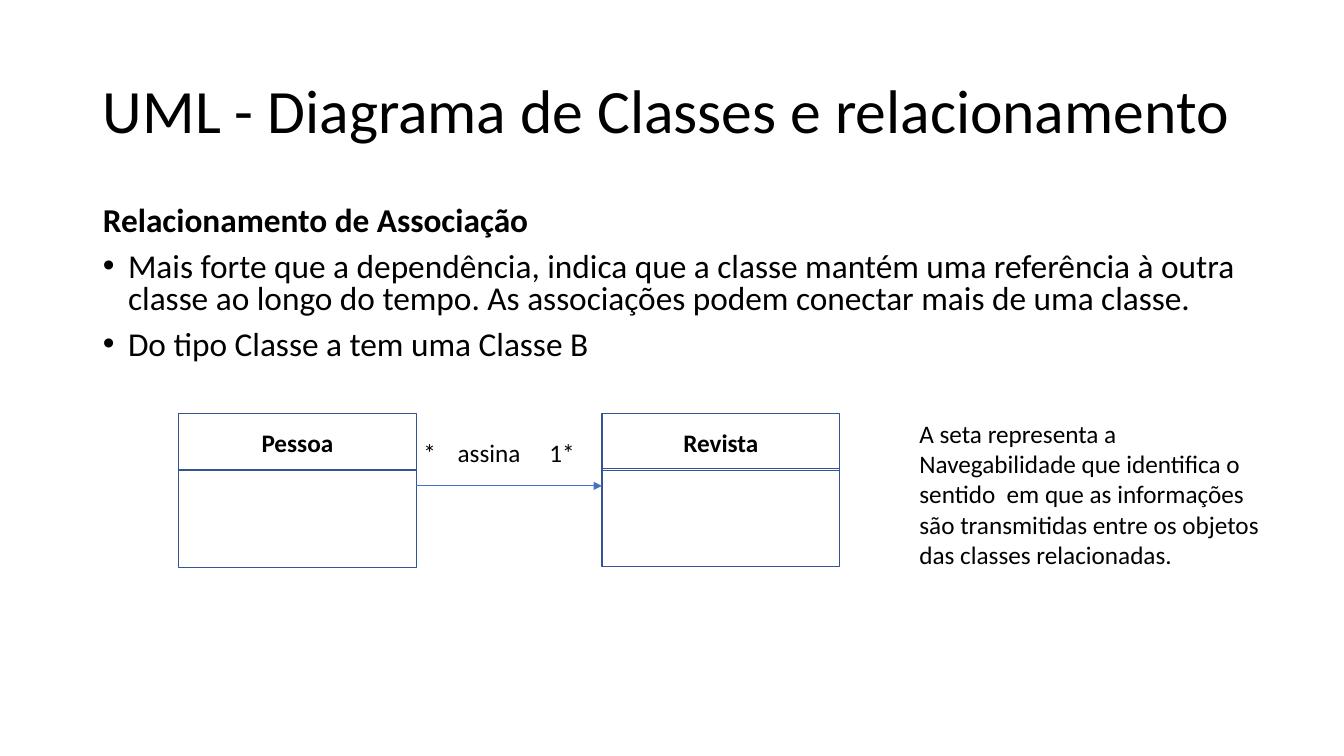
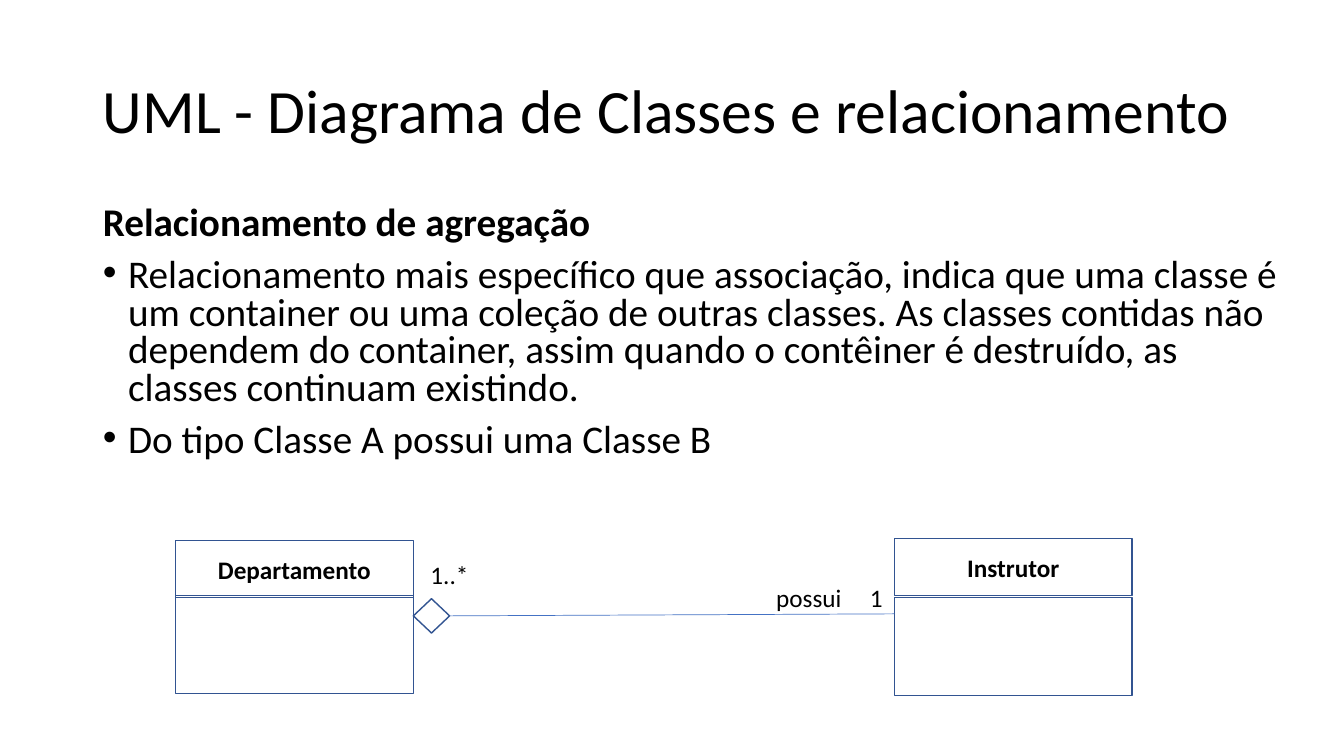
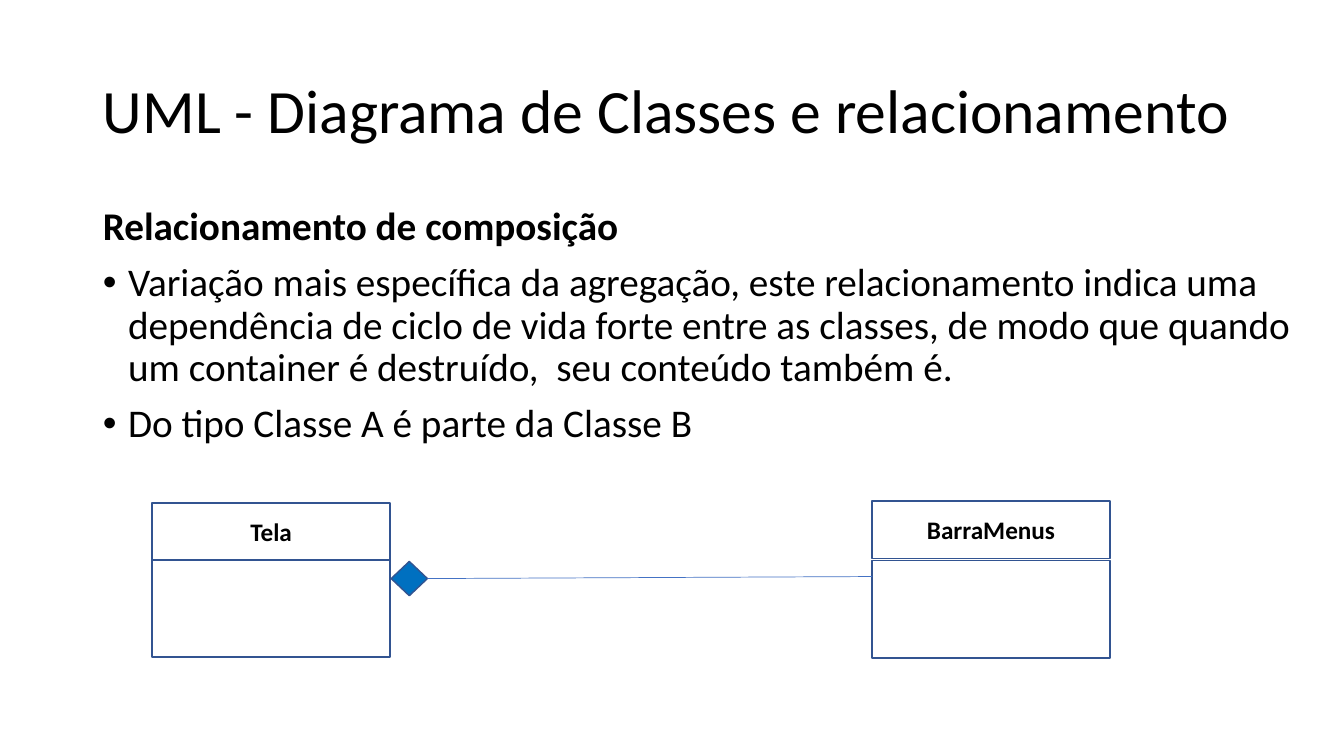
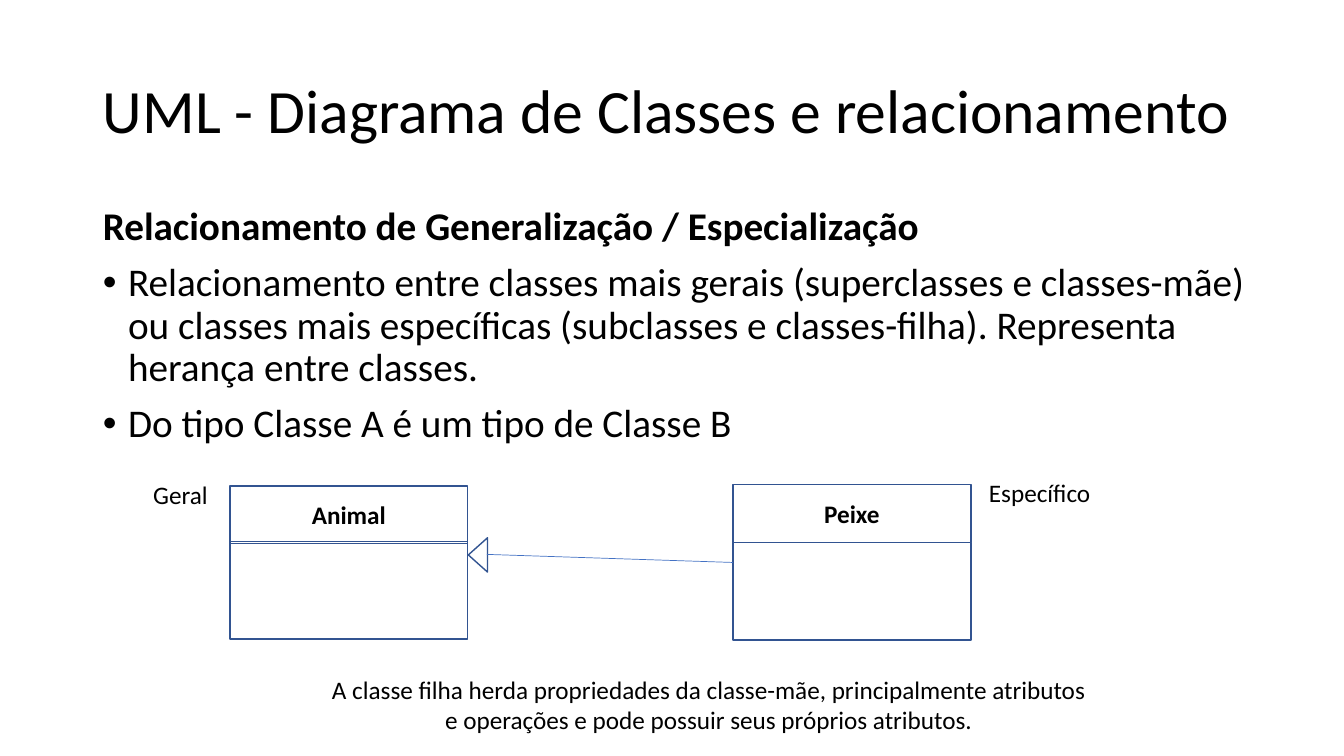
from lxml import etree
from pptx import Presentation
from pptx.dml.color import RGBColor
from pptx.enum import shapes, text
from pptx.oxml.ns import qn
from pptx.util import Inches, Pt

FONT = "Calibri"
HEX = {"ink": "000000", "edge": "325491", "link": "4472C4", "solid": "0070C0"}
TITLE = "UML - Diagrama de Classes e relacionamento"
WIDE, HEAD, BODY = 2.36, 0.57, 0.97  # class box width and part heights
LEFT, MID = text.PP_ALIGN.LEFT, text.PP_ALIGN.CENTER
KIND = shapes.MSO_SHAPE


def tint(name):
    return RGBColor.from_string(HEX[name])


def style(para, size, bold=False, align=LEFT):
    para.alignment = align
    font = para.font
    font.name, font.size, font.bold = FONT, Pt(size), bold
    font.color.rgb = tint("ink")


def place(item, left, top, width, height):
    item.left, item.top = Inches(left), Inches(top)
    item.width, item.height = Inches(width), Inches(height)


# Title and body placeholders
def bullet(para, on):
    props = para._p.get_or_add_pPr()
    inset = Inches(0.25) if on else 0
    props.set("marL", str(inset))
    props.set("indent", str(-inset))
    if on:
        etree.SubElement(props, qn("a:buFont")).set("typeface", "Arial")
        etree.SubElement(props, qn("a:buChar")).set("char", "•")
    else:
        etree.SubElement(props, qn("a:buNone"))


def start(deck, height, size, pitch, lines):
    """Add a slide with the shared title, a bold heading and bullets."""
    slide = deck.slides.add_slide(deck.slide_layouts[1])
    title, body = slide.placeholders
    place(title, 0.92, 0.4, 11.5, 1.45)
    frame = title.text_frame
    frame.text = TITLE
    frame.vertical_anchor = text.MSO_ANCHOR.MIDDLE
    frame.paragraphs[0].line_spacing = 0.9
    style(frame.paragraphs[0], 44)

    place(body, 0.92, 2, 12.01, height)
    frame = body.text_frame
    frame.auto_size = text.MSO_AUTO_SIZE.NONE
    frame.text = "\n".join(lines)
    for num, para in enumerate(frame.paragraphs):
        para.line_spacing, para.space_before = pitch, Pt(10)
        bullet(para, num > 0)
        style(para, size, bold=num == 0)
    return slide


# Diagram parts
def shape(slide, kind, left, top, width, height, fill=None):
    item = slide.shapes.add_shape(
        kind, Inches(left), Inches(top), Inches(width), Inches(height))
    item.shadow.inherit = False
    if fill:
        item.fill.solid()
        item.fill.fore_color.rgb = tint(fill)
    else:
        item.fill.background()
    item.line.color.rgb = tint("edge")
    item.line.width = Pt(1)
    return item


def klass(slide, name, left, top, drop):
    """Draw a class: name box, and an empty box starting drop below its top."""
    head = shape(slide, KIND.RECTANGLE, left, top, WIDE, HEAD)
    frame = head.text_frame
    frame.text = name
    frame.vertical_anchor = text.MSO_ANCHOR.MIDDLE
    style(frame.paragraphs[0], 18, True, MID)
    shape(slide, KIND.RECTANGLE, left, top + drop, WIDE, BODY)


def label(slide, words, left, top, width, height=0.4, align=LEFT, tabs=()):
    box = slide.shapes.add_textbox(
        Inches(left), Inches(top), Inches(width), Inches(height))
    frame = box.text_frame
    frame.word_wrap = True
    frame.text = words
    para = frame.paragraphs[0]
    if tabs:
        stops = etree.SubElement(para._p.get_or_add_pPr(), qn("a:tabLst"))
        for pos in tabs:
            etree.SubElement(stops, qn("a:tab"), pos=str(Inches(pos)), algn="l")
    style(para, 18, align=align)


def link(slide, x1, y1, x2, y2, source=None, arrow=False):
    line = slide.shapes.add_connector(
        shapes.MSO_CONNECTOR.STRAIGHT,
        Inches(x1), Inches(y1), Inches(x2), Inches(y2))
    if source is not None:
        line.begin_connect(source, 3)
    line.line.color.rgb = tint("link")
    line.line.width = Pt(0.5)
    if arrow:
        etree.SubElement(line.line._get_or_add_ln(), qn("a:tailEnd"), type="triangle")
    etree.SubElement(line._element.spPr, qn("a:effectLst"))


# Slides
def assoc(deck):
    slide = start(deck, 1.67, 23.8, 0.8, [
        "Relacionamento de Associação",
        "Mais forte que a dependência, indica que a classe mantém uma referência "
        "à outra classe ao longo do tempo. As associações podem conectar mais de "
        "uma classe.",
        "Do tipo Classe a tem uma Classe B"])
    klass(slide, "Pessoa", 1.77, 4.1, 0.56)
    label(slide, "*\tassina\t1*", 4.1, 4.29, 1.91, tabs=(0.34, 1.25))
    klass(slide, "Revista", 5.97, 4.1, 0.55)
    link(slide, 4.13, 4.82, 5.97, 4.82, arrow=True)
    label(slide, "A seta representa a Navegabilidade que identifica o sentido  em "
          "que as informações são transmitidas entre os objetos das classes "
          "relacionadas.", 9.02, 4.1, 3.65, 1.62)


def aggreg(deck):
    slide = start(deck, 2.75, 28, 0.8, [
        "Relacionamento de agregação",
        "Relacionamento mais específico que associação, indica que uma classe é "
        "um container ou uma coleção de outras classes. As classes contidas não "
        "dependem do container, assim quando o contêiner é destruído, as classes "
        "continuam existindo.",
        "Do tipo Classe A possui uma Classe B"])
    klass(slide, "Departamento", 1.74, 5.36, 0.55)
    label(slide, "1..*", 4.17, 5.5, 0.81)
    gem = shape(slide, KIND.DIAMOND, 4.1, 5.94, 0.36, 0.34)
    klass(slide, "Instrutor", 8.87, 5.34, 0.59)
    link(slide, 4.46, 6.11, 8.87, 6.09, gem)
    label(slide, "possui\t1", 7.6, 5.73, 1.27, tabs=(0.93,))


def compos(deck):
    slide = start(deck, 2.51, 28, 0.9, [
        "Relacionamento de composição",
        "Variação mais específica da agregação, este relacionamento indica uma "
        "dependência de ciclo de vida forte entre as classes, de modo que quando "
        "um container é destruído,  seu conteúdo também é.",
        "Do tipo Classe A é parte da Classe B"])
    klass(slide, "Tela", 1.51, 4.99, 0.56)
    gem = shape(slide, KIND.DIAMOND, 3.88, 5.57, 0.36, 0.34, "solid")
    klass(slide, "BarraMenus", 8.65, 4.97, 0.59)
    link(slide, 4.24, 5.74, 8.65, 5.72, gem)


def general(deck):
    slide = start(deck, 2.51, 28, 0.9, [
        "Relacionamento de Generalização / Especialização",
        "Relacionamento entre classes mais gerais (superclasses e classes-mãe) ou "
        "classes mais específicas (subclasses e classes-filha). Representa herança "
        "entre classes.",
        "Do tipo Classe A é um tipo de Classe B"])
    klass(slide, "Animal", 2.28, 4.82, 0.55)
    klass(slide, "Peixe", 7.27, 4.81, 0.57)
    label(slide, "A classe filha herda propriedades da classe-mãe, principalmente "
          "atributos e operações e pode possuir seus próprios atributos.",
          3.16, 6.64, 7.74, 0.71, MID)
    tip = shape(slide, KIND.ISOSCELES_TRIANGLE, 4.57, 5.41, 0.34, 0.19)
    tip.rotation = 270
    link(slide, 4.83, 5.5, 7.27, 5.58)
    label(slide, "Específico", 9.71, 4.69, 1.74)
    label(slide, "Geral", 0.92, 4.71, 1.74, align=MID)


def main():
    deck = Presentation()
    deck.slide_width, deck.slide_height = Inches(13.33), Inches(7.5)
    for build in (assoc, aggreg, compos, general):
        build(deck)
    deck.save("out.pptx")


if __name__ == "__main__":
    main()
